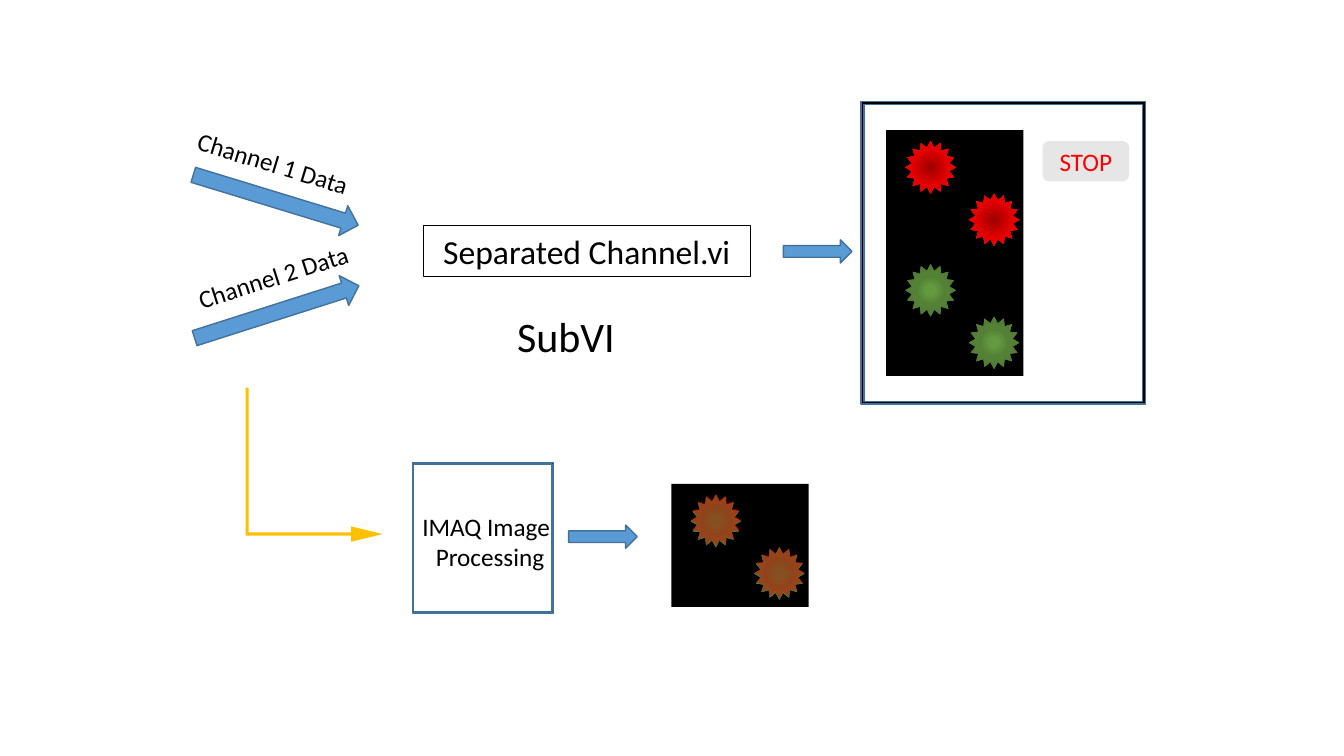
"""Builds the two-channel image processing flow slide."""
from pptx import Presentation
from pptx.dml.color import RGBColor
from pptx.enum.shapes import MSO_SHAPE as Shape
from pptx.enum.text import MSO_ANCHOR as Anchor, PP_ALIGN as Align
from pptx.oxml import parse_xml
from pptx.oxml.ns import nsdecls
from pptx.util import Pt

PX = 9144
SLIDE = (1333, 750)
FONT = "Calibri"
COLORS = {"black": "000000", "red": "FF0000", "blue": "5B9BD5", "edge": "42719B",
          "gold": "FFC000", "gray": "E7E6E6"}
GREEN = [(0, "63993F"), (14, "63993F"), (39, "548135"), (97, "4E7931"), (100, "4E7931")]
RED = [(0, "9E0000"), (50, "E40000"), (100, "FF0000")]

CHANNELS = [("Channel 1 Data", (184, 142), (188, 183), 17),
            ("Channel 2 Data", (184, 254), (189, 294), 342.3)]
FLOW_ARROWS = [(777, 238), (564, 521)]
FRAMES = [(854, 101, 282, 300), (409, 459, 140, 149)]
PANELS = [(879, 251, [(GREEN, 100, 0)]),
          (879, 129, [(RED, 100, 0)]),
          (666, 480, [(GREEN, 100, 0), (RED, 47, -1)])]
STAR_OFFSETS = [(19, 11), (82, 63)]


def rgb(name):
    return RGBColor.from_string(COLORS[name])


def add_shape(page, kind, box, fill=None, line=None, weight=1, adjust=(), turn=0):
    shape = page.shapes.add_shape(kind, *(n * PX for n in box))
    shape.shadow.inherit = False
    shape.rotation = turn
    for i, value in enumerate(adjust):
        shape.adjustments[i] = value
    if fill:
        shape.fill.solid()
        shape.fill.fore_color.rgb = rgb(fill)
    else:
        shape.fill.background()
    if line:
        shape.line.color.rgb = rgb(line)
        shape.line.width = Pt(weight)
    else:
        shape.line.fill.background()
    return shape


def write(shape, lines, size, color="black", anchor=Anchor.TOP, inset=5, wrap=True):
    frame = shape.text_frame
    frame.word_wrap = wrap
    frame.vertical_anchor = anchor
    frame.margin_left = frame.margin_right = 10 * PX
    frame.margin_top = frame.margin_bottom = inset * PX
    for i, (text, align) in enumerate(lines):
        para = frame.add_paragraph() if i else frame.paragraphs[0]
        para.alignment = align
        span = para.add_run()
        span.text = text
        span.font.size = Pt(size)
        span.font.name = FONT
        span.font.color.rgb = rgb(color)


def add_label(page, box, lines, size, turn=0, inset=5):
    label = page.shapes.add_textbox(*(n * PX for n in box))
    label.rotation = turn
    write(label, lines, size, inset=inset, wrap=not turn)


def add_arrow(page, box, turn=0):
    add_shape(page, Shape.RIGHT_ARROW, box, "blue", "edge", turn=turn)


def fill_radial(shape, stops, opacity):
    marks = "".join(
        f'<a:gs pos="{at * 1000}"><a:srgbClr val="{color}">'
        f'<a:alpha val="{opacity * 1000}"/></a:srgbClr></a:gs>' for at, color in stops)
    gradient = parse_xml(
        f'<a:gradFill {nsdecls("a")} rotWithShape="1"><a:gsLst>{marks}</a:gsLst>'
        '<a:path path="circle"><a:fillToRect l="50000" t="50000" r="50000" b="50000"/>'
        '</a:path></a:gradFill>')
    properties = shape._element.spPr
    empty = properties.find("{*}noFill")
    properties.replace(empty, gradient)


def add_panel(page, left, top, layers):
    add_shape(page, Shape.RECTANGLE, (left, top, 136, 122), "black")
    for stops, opacity, shift in layers:
        for dx, dy in STAR_OFFSETS:
            box = (left + dx, top + dy + shift, 50, 52)
            star = add_shape(page, Shape.STAR_16_POINT, box, adjust=(0.375,))
            fill_radial(star, stops, opacity)


def main():
    deck = Presentation()
    deck.slide_width, deck.slide_height = (n * PX for n in SLIDE)
    page = deck.slides.add_slide(deck.slide_layouts[6])

    for text, label_at, arrow_at, turn in CHANNELS:
        add_arrow(page, (*arrow_at, 171, 31), turn)
        add_label(page, (*label_at, 176, 40), [(text, Align.LEFT)], 18, turn)

    separator = add_shape(page, Shape.RECTANGLE, (420, 224, 324, 50), line="black", weight=0.75)
    write(separator, [("Separated Channel.vi", Align.CENTER)], 24)
    add_label(page, (503, 298, 180, 52), [("SubVI", Align.LEFT)], 30, inset=10)

    for panel in PANELS:
        add_panel(page, *panel)
    for at in FLOW_ARROWS:
        add_arrow(page, (*at, 68, 23))
    for box in FRAMES:
        add_shape(page, Shape.FRAME, box, "black", "edge", adjust=(0.01,))

    stop = add_shape(page, Shape.ROUNDED_RECTANGLE, (1034, 140, 86, 40), "gray")
    write(stop, [("STOP", Align.CENTER)], 18, "red", Anchor.MIDDLE)
    add_shape(page, Shape.BENT_UP_ARROW, (235, 393, 153, 136), "gold",
              adjust=(0.023, 0.056, 0.23), turn=90)
    add_label(page, (409, 502, 154, 71),
              [("IMAQ Image", Align.LEFT), ("Processing", Align.CENTER)], 18)

    deck.save("out.pptx")


if __name__ == "__main__":
    main()
